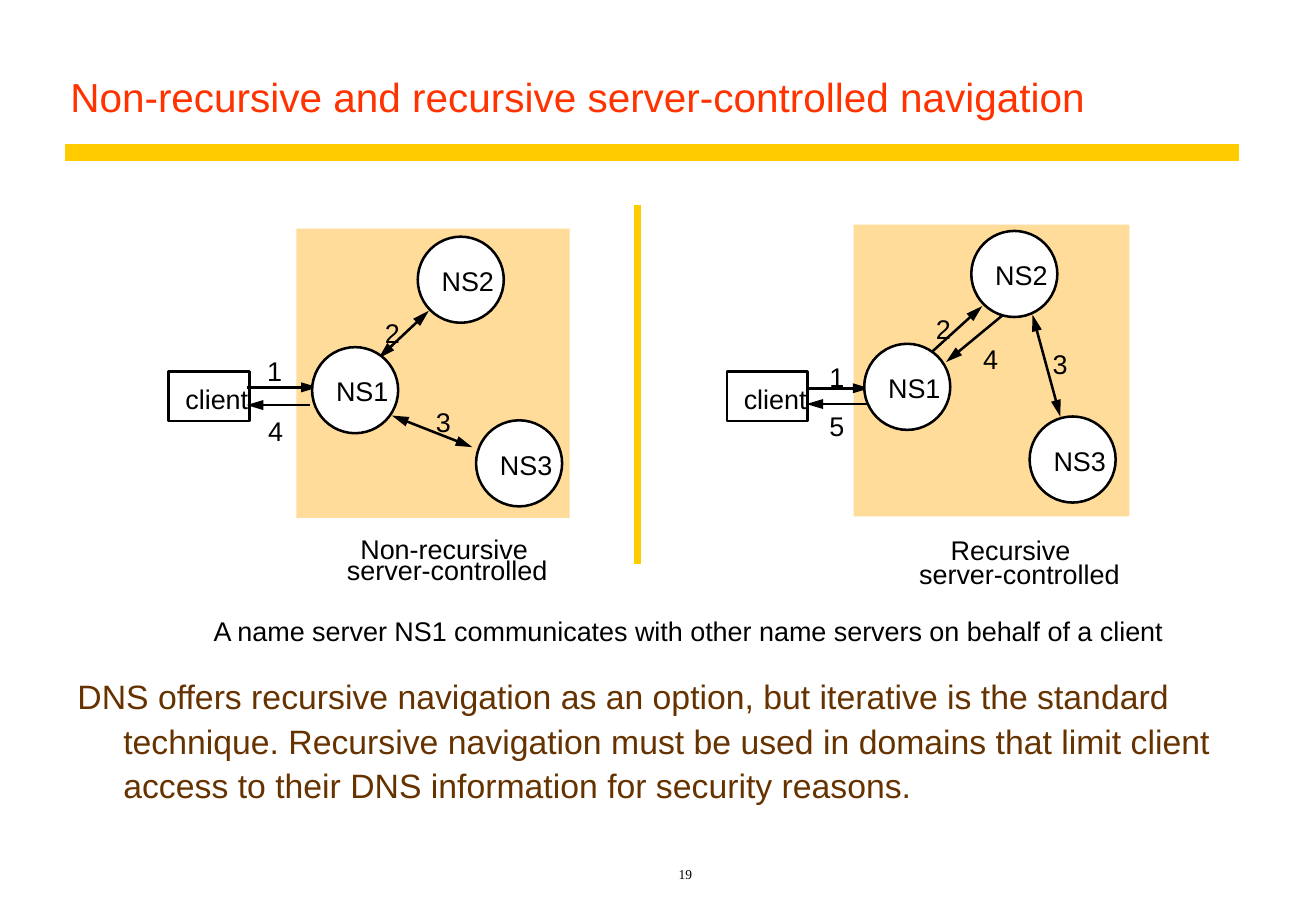
from lxml import etree
from pptx import Presentation
from pptx.dml.color import RGBColor
from pptx.enum.shapes import MSO_CONNECTOR, MSO_SHAPE
from pptx.enum.text import MSO_ANCHOR, MSO_AUTO_SIZE, PP_ALIGN
from pptx.oxml.ns import qn
from pptx.util import Cm, Pt

RECT, OVAL = MSO_SHAPE.RECTANGLE, MSO_SHAPE.OVAL
STRAIGHT = MSO_CONNECTOR.STRAIGHT
LEFT, CENTER = PP_ALIGN.LEFT, PP_ALIGN.CENTER
TOP, BOTTOM = MSO_ANCHOR.TOP, MSO_ANCHOR.BOTTOM
NO_FIT = MSO_AUTO_SIZE.NONE

BLACK = RGBColor(0x00, 0x00, 0x00)
WHITE = RGBColor(0xFF, 0xFF, 0xFF)
RED = RGBColor(0xFF, 0x33, 0x00)
YELLOW = RGBColor(0xFF, 0xCC, 0x00)
SAND = RGBColor(0xFF, 0xDC, 0x99)
BROWN = RGBColor(0x66, 0x33, 0x00)

SERVER_SIZE = 1.8
LABEL_HEIGHT = 0.69


def write(sp, text, size=16, color=BLACK, font="Arial", align=LEFT,
          anchor=TOP, wrap=True, insets=(0.25, 0.13), spacing=1.0, before=0):
    tf = sp.text_frame
    tf.auto_size, tf.word_wrap, tf.vertical_anchor = NO_FIT, wrap, anchor
    tf.margin_left = tf.margin_right = Cm(insets[0])
    tf.margin_top = tf.margin_bottom = Cm(insets[1])
    p = tf.paragraphs[0]
    p.alignment, p.line_spacing, p.space_before = align, spacing, Pt(before)
    r = p.add_run()
    r.text = text
    r.font.size, r.font.name, r.font.color.rgb = Pt(size), font, color
    return p


def draw_line(x1, y1, x2, y2, color=BLACK, width=1.5, heads=()):
    sp = slide.shapes.add_connector(STRAIGHT, Cm(x1), Cm(y1), Cm(x2), Cm(y2))
    sp.line.color.rgb, sp.line.width = color, Pt(width)
    ln = sp.line._get_or_add_ln()
    for head in heads:
        etree.SubElement(ln, qn(f"a:{head}"), type="triangle", w="med", len="lg")
    etree.SubElement(sp._element.spPr, qn("a:effectLst"))


prs = Presentation()
prs.slide_width, prs.slide_height = Cm(27.53), Cm(19.05)
slide = prs.slides.add_slide(prs.slide_layouts[1])

# Title and rule below it
draw_line(1.37, 3.18, 25.91, 3.18, YELLOW, 10)
title = slide.shapes.title
title.left, title.top, title.width, title.height = Cm(1.22), Cm(0.64), Cm(24.69), Cm(2.03)
write(title, "Non-recursive and recursive server-controlled navigation",
      size=24, color=RED, anchor=BOTTOM, spacing=0.9)

# Body statement with hanging indent
body = slide.placeholders[1]
body.left, body.top, body.width, body.height = Cm(1.37), Cm(13.92), Cm(24.61), Cm(3.43)
p = write(body, "DNS offers recursive navigation as an option, but iterative is the "
          "standard technique. Recursive navigation must be used in domains that limit "
          "client access to their DNS information for security reasons.",
          size=20, color=BROWN, spacing=1.1, before=5)
pPr = p._p.get_or_add_pPr()
pPr.set("marL", str(Cm(0.96)))
pPr.set("indent", str(Cm(-0.96)))
etree.SubElement(pPr, qn("a:buNone"))

# Page number
sp = slide.shapes.add_textbox(Cm(5.97), Cm(17.78), Cm(16.74), Cm(0.79))
write(sp, "19", size=8, font="Times New Roman", align=CENTER, anchor=BOTTOM, before=5)

# The two diagrams: arrows run from start to end, "both" has two heads
ONE, BOTH = ("tailEnd",), ("headEnd", "tailEnd")
diagrams = [
    {"zone": (6.2, 4.78, 5.72, 6.05),
     "client": (3.53, 7.77),
     "servers": {"NS1": (6.53, 7.26), "NS2": (8.74, 4.95), "NS3": (9.96, 8.79)},
     "arrows": [(5.16, 8.1, 6.65, 8.1, ONE), (7.92, 7.49, 8.97, 6.5, BOTH),
                (8.2, 8.69, 9.88, 9.35, BOTH), (6.48, 8.47, 5.16, 8.47, ONE)],
     "steps": [(5.59, 7.42), (8.05, 6.63), (9.12, 8.48), (5.61, 8.66)],
     "caption": [("Non-recursive", 7.54, 11.13, 3.51),
                 ("server-controlled", 7.26, 11.58, 4.19)]},
    {"zone": (17.86, 4.7, 5.77, 6.1),
     "client": (15.21, 7.77),
     "servers": {"NS1": (18.08, 7.19), "NS2": (20.32, 4.83), "NS3": (21.54, 8.71)},
     "arrows": [(16.87, 8.12, 18.19, 8.12, ONE), (19.46, 7.39, 20.55, 6.4, ONE),
                (21.6, 6.58, 22.18, 8.71, BOTH), (21.11, 6.48, 19.79, 7.57, ONE),
                (18.19, 8.45, 16.87, 8.45, ONE)],
     "steps": [(17.35, 7.54), (19.58, 6.53), (22.02, 7.26), (20.57, 7.16),
               (17.35, 8.56)],
     "caption": [("Recursive", 19.89, 11.15, 2.51),
                 ("server-controlled", 19.23, 11.66, 4.19)]},
]
labels = [("A name server NS1 communicates with other name servers on behalf of a client",
           4.47, 12.85, 19.91)]

for diagram in diagrams:
    # Server zone, then arrows beneath the client box and server circles
    client_x, client_y = diagram["client"]
    outlines = [(RECT, client_x, client_y, 1.69, 1.04, None, BLACK)]
    outlines += [(OVAL, x, y, SERVER_SIZE, SERVER_SIZE, WHITE, BLACK)
                 for x, y in diagram["servers"].values()]
    for kind, x, y, w, h, fill, edge in [(RECT, *diagram["zone"], SAND, None), *outlines]:
        sp = slide.shapes.add_shape(kind, Cm(x), Cm(y), Cm(w), Cm(h))
        sp.shadow.inherit = False
        if fill is None:
            sp.fill.background()
        else:
            sp.fill.solid()
            sp.fill.fore_color.rgb = fill
        if edge is None:
            sp.line.fill.background()
            for *ends, heads in diagram["arrows"]:
                draw_line(*ends, heads=heads)
        else:
            sp.line.color.rgb, sp.line.width = edge, Pt(1.5)

    # Labels of this diagram
    labels.append(("client", client_x + 0.35, client_y + 0.24, 1.32))
    labels += [(name, x + 0.5, y + 0.58, 1.09)
               for name, (x, y) in diagram["servers"].items()]
    labels += [(str(n), x, y, 0.31) for n, (x, y) in enumerate(diagram["steps"], 1)]
    labels += diagram["caption"]

for text, x, y, w in labels:
    sp = slide.shapes.add_textbox(Cm(x), Cm(y), Cm(w), Cm(LABEL_HEIGHT))
    write(sp, text, wrap=False, insets=(0, 0))

# Divider between the diagrams
draw_line(13.34, 4.29, 13.34, 11.79, YELLOW, 4.5)

prs.save("out.pptx")
